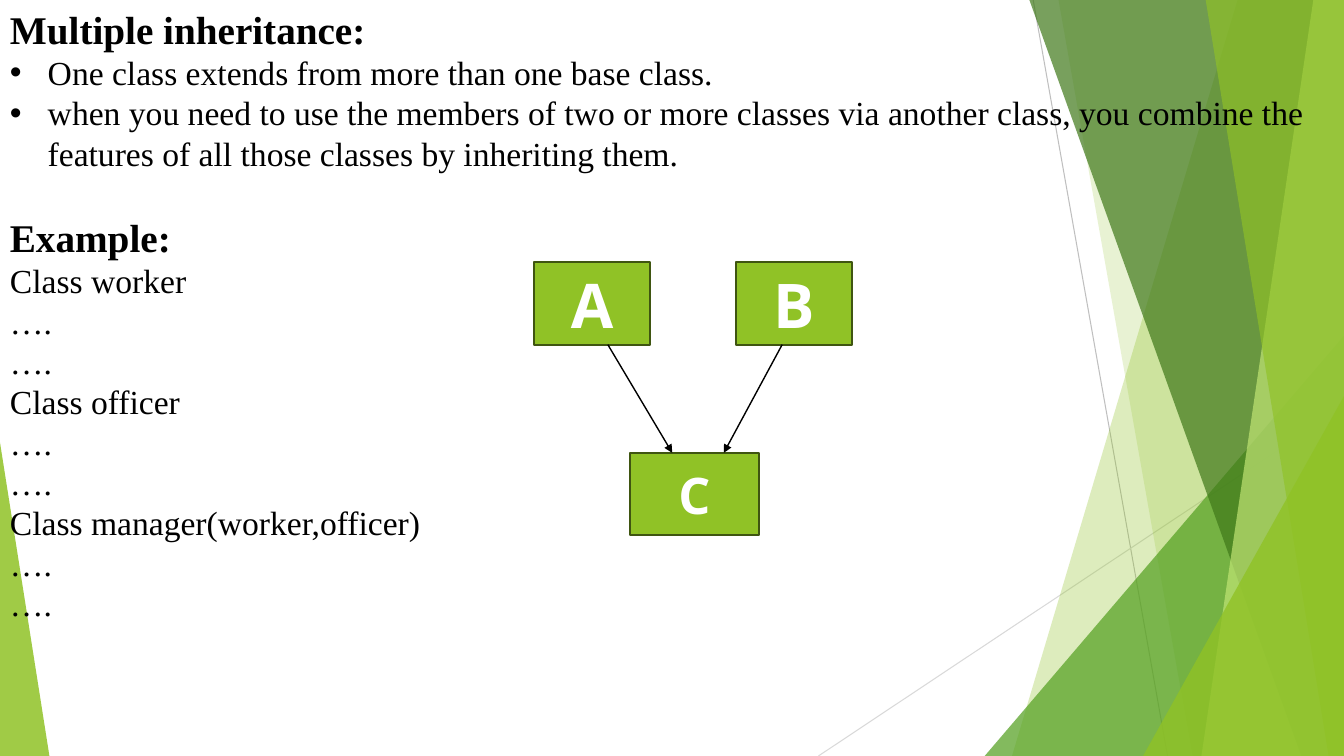
from dataclasses import dataclass
from typing import Optional

from lxml import etree
from pptx import Presentation
from pptx.dml import color
from pptx.enum import shapes, text
from pptx.oxml import ns
from pptx.util import Pt


@dataclass(frozen=True)
class Theme:
    lime: str = "90C226"
    leaf: str = "54A021"
    forest: str = "3F7819"
    pale: str = "C0E474"
    outline: str = "3F5511"
    ink: str = "000000"
    white: str = "FFFFFF"
    grey: str = "BFBFBF"
    light_grey: str = "D9D9D9"
    serif: str = "Times New Roman"
    sans: str = "Noto Sans"
    heading: float = 28
    body: float = 24
    parent: float = 44
    child: float = 36
    leading: float = 1.2


@dataclass(frozen=True)
class Ray:
    x1: float
    y1: float
    x2: float
    y2: float
    rgb: str
    width: float
    arrow: bool = False


@dataclass(frozen=True)
class Wing:
    top_x: float
    bottom_x: float
    rgb: str
    alpha: int


@dataclass(frozen=True)
class Corner:
    left: float
    top: float
    width: float
    apex: float
    rgb: str
    alpha: int


@dataclass(frozen=True)
class ClassBox:
    name: str
    left: float
    top: float
    width: float
    size: float


@dataclass(frozen=True)
class Line:
    words: str
    heading: bool = False
    bullet: Optional[str] = None
    before: float = 0


T = Theme()
W, H, BLEED, BOX_H = 960, 540, 0.6, 59
INDENT = 27

BACKDROP = [
    Ray(738, 0, 834, H, T.grey, 0.75),
    Ray(W, 290.2, 584.6, H, T.light_grey, 0.75),
    Wing(884.2, 722.9, T.lime, 30),
    Wing(756, 851.8, T.lime, 20),
    Corner(703.4, 239.8, 256.6, 1, T.leaf, 72),
    Wing(735.1, 929.5, T.forest, 70),
    Wing(938.2, 858.2, T.pale, 70),
    Wing(861.1, 949, T.lime, 65),
    Corner(816.5, 283, 143.5, 1, T.lime, 80),
    Corner(0, 316.1, 35.3, 0, T.lime, 85),
]

MEMBERS = [Line("…."), Line("….")]
LINES = [
    Line("Multiple inheritance:", heading=True),
    Line("One class extends from more than one base class.", bullet="•"),
    Line("when you need to use the members of two or more classes via another class, "
         "you combine the features of all those classes by inheriting them.", bullet="•"),
    Line("Example:", heading=True, before=T.body * T.leading),
    Line("Class worker"), *MEMBERS,
    Line("Class officer"), *MEMBERS,
    Line("Class manager(worker,officer)"), *MEMBERS,
]

DIAGRAM = [
    ClassBox("A", 381.6, 187.2, 82.8, T.parent),
    ClassBox("B", 525.6, 187.2, 82.8, T.parent),
    ClassBox("C", 450, 323.5, 92.2, T.child),
    Ray(434.2, 246.2, 480.2, 323.5, T.ink, 1, arrow=True),
    Ray(558.7, 246.2, 517, 323.5, T.ink, 1, arrow=True),
]


def rgb(value: str) -> color.RGBColor:
    return color.RGBColor.from_string(value)


def paint(sp, value: str, alpha: int = 100) -> None:
    sp.shadow.inherit = False
    sp.fill.solid()
    sp.fill.fore_color.rgb = rgb(value)
    sp.line.fill.background()
    if alpha < 100:
        clr = sp._element.spPr.find(ns.qn("a:solidFill"))[0]
        etree.SubElement(clr, ns.qn("a:alpha"), val=str(alpha * 1000))


def style(r, font: str, size: float, value: str, bold: bool) -> None:
    r.font.name, r.font.size, r.font.bold = font, Pt(size), bold
    r.font.color.rgb = rgb(value)


def draw_ray(sl, ray: Ray) -> None:
    cx = sl.shapes.add_connector(shapes.MSO_CONNECTOR.STRAIGHT,
                                 Pt(ray.x1), Pt(ray.y1), Pt(ray.x2), Pt(ray.y2))
    cx.line.color.rgb = rgb(ray.rgb)
    cx.line.width = Pt(ray.width)
    if ray.arrow:
        etree.SubElement(cx.line._get_or_add_ln(), ns.qn("a:tailEnd"), type="triangle")
    etree.SubElement(cx._element.spPr, ns.qn("a:effectLst"))


def draw_wing(sl, wing: Wing) -> None:
    fb = sl.shapes.build_freeform(Pt(wing.top_x), Pt(-BLEED))
    corners = [(W, -BLEED), (W, H), (wing.bottom_x, H)]
    fb.add_line_segments([(Pt(x), Pt(y)) for x, y in corners], close=True)
    paint(fb.convert_to_shape(), wing.rgb, wing.alpha)


def draw_corner(sl, c: Corner) -> None:
    sp = sl.shapes.add_shape(shapes.MSO_SHAPE.ISOSCELES_TRIANGLE,
                             Pt(c.left), Pt(c.top), Pt(c.width), Pt(H - c.top))
    sp.adjustments[0] = c.apex
    paint(sp, c.rgb, c.alpha)


def draw_box(sl, box: ClassBox) -> None:
    sp = sl.shapes.add_shape(shapes.MSO_SHAPE.RECTANGLE,
                             Pt(box.left), Pt(box.top), Pt(box.width), Pt(BOX_H))
    paint(sp, T.lime)
    sp.line.color.rgb = rgb(T.outline)
    sp.line.width = Pt(1.5)
    tf = sp.text_frame
    tf.text = box.name
    tf.vertical_anchor = text.MSO_ANCHOR.MIDDLE
    p = tf.paragraphs[0]
    p.alignment = text.PP_ALIGN.CENTER
    style(p.runs[0], T.sans, box.size, T.white, True)


def draw_lines(sl, lines: list[Line]) -> None:
    tf = sl.shapes.add_textbox(0, 0, Pt(W), Pt(482.4)).text_frame
    tf.word_wrap = True
    for i, line in enumerate(lines):
        p = tf.add_paragraph() if i else tf.paragraphs[0]
        p.text = line.words
        size = T.heading if line.heading else T.body
        p.line_spacing = Pt(size * T.leading)
        p.space_before = Pt(line.before)
        style(p.runs[0], T.serif, size, T.ink, line.heading)
        if line.bullet:
            pPr = p._p.get_or_add_pPr()
            pPr.set("marL", str(Pt(INDENT)))
            pPr.set("indent", str(-Pt(INDENT)))
            etree.SubElement(pPr, ns.qn("a:buFont"), typeface="Arial")
            etree.SubElement(pPr, ns.qn("a:buChar"), char=line.bullet)


DRAW = {Ray: draw_ray, Wing: draw_wing, Corner: draw_corner, ClassBox: draw_box}


def main() -> None:
    prs = Presentation()
    prs.slide_width, prs.slide_height = Pt(W), Pt(H)
    sl = prs.slides.add_slide(prs.slide_layouts[6])
    for item in BACKDROP:
        DRAW[type(item)](sl, item)
    draw_lines(sl, LINES)
    for item in DIAGRAM:
        DRAW[type(item)](sl, item)
    prs.save("out.pptx")


if __name__ == "__main__":
    main()
